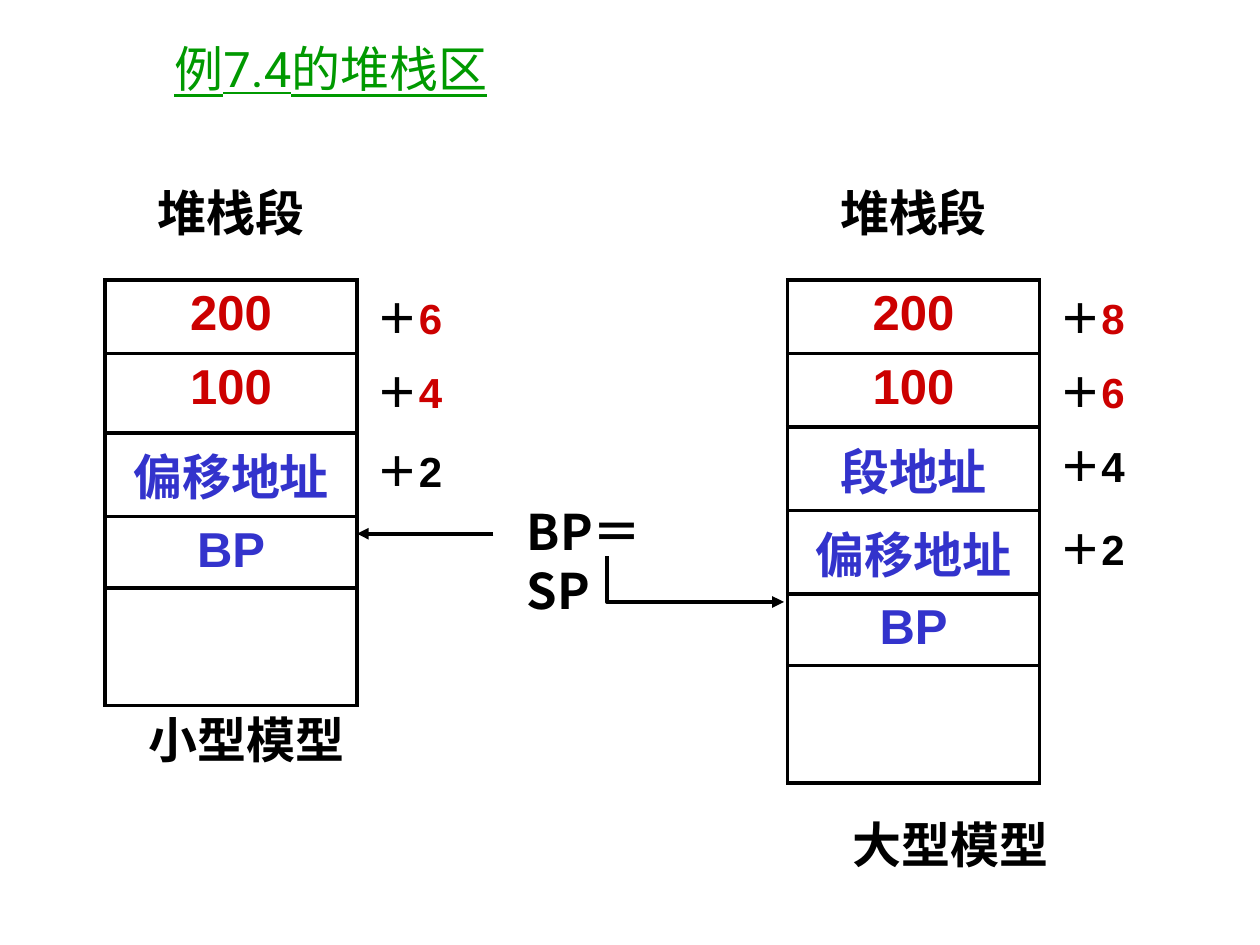
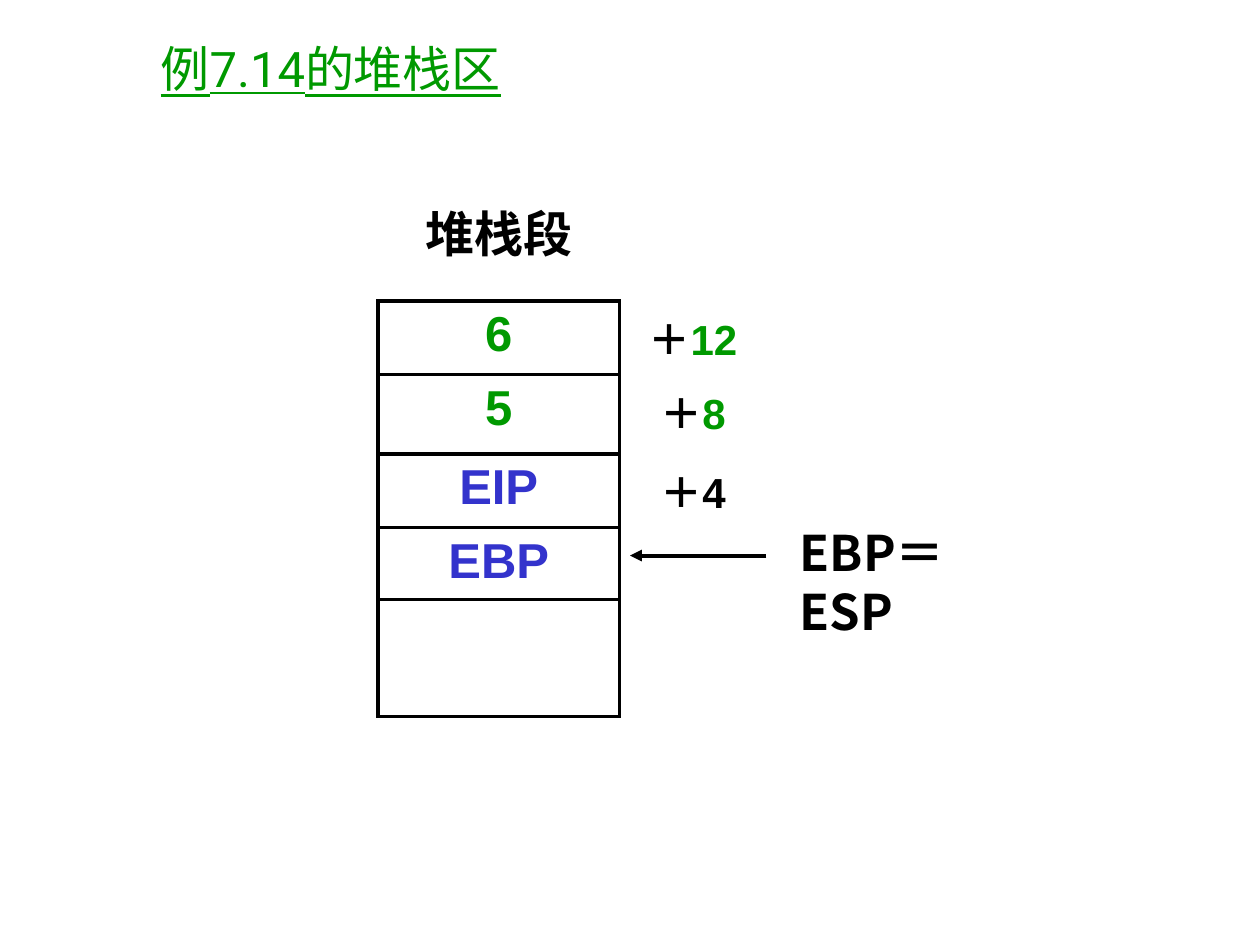
from pptx import Presentation
from pptx.util import Pt
from pptx.dml.color import RGBColor as Rgb
from pptx.enum.shapes import MSO_CONNECTOR as Link
from pptx.enum.text import PP_ALIGN as Align, MSO_ANCHOR as Anchor
from pptx.oxml import parse_xml as to_xml
from pptx.oxml.ns import nsdecls, qn
from lxml.etree import SubElement as add_sub

BLACK = Rgb(0x00, 0x00, 0x00)
RED = Rgb(0xCC, 0x00, 0x00)
GREEN = Rgb(0x00, 0x99, 0x00)
BLUE = Rgb(0x33, 0x33, 0xCC)
ARIAL, ROBOTO, NOTO = "Arial", "Roboto", "Noto Sans CJK SC"
PLAIN = "{2D5ABB26-0587-4C30-8999-92F81FD0307C}"
RULE = 2.25

HEAD = {"size": Pt(28), "bold": False, "underline": True, "name": ROBOTO}
CELL = {"size": Pt(28), "bold": True, "name": ARIAL}
SHIFT = {**CELL, "size": Pt(24)}
POINT = {**CELL, "name": NOTO}

CAP = "堆栈段"
TITLE = (18, 6, 342, 66)
TOP, ROW, TALL, REST = 64, 41, 45.4, 67

SMALL = {
    "at": (60, 96), "cols": (144, 60), "tall": 2,
    "rows": [("200", RED, "6", RED), ("100", RED, "4", RED),
             ("偏移地址", BLUE, "2", BLACK), ("BP", BLUE, "", BLACK)],
}
LARGE = {
    "at": (450, 96), "cols": (144, 60), "tall": 0,
    "rows": [("200", RED, "8", RED), ("100", RED, "6", RED),
             ("段地址", BLUE, "4", BLACK), ("偏移地址", BLUE, "2", BLACK),
             ("BP", BLUE, "", BLACK)],
}
WIDE = {
    "at": (216, 108), "cols": (138, 84), "tall": 2,
    "rows": [("6", GREEN, "12", GREEN), ("5", GREEN, "8", GREEN),
             ("EIP", BLUE, "4", BLACK), ("EBP", BLUE, "", BLACK)],
}

PAGES = [
    {"title": "例7.4的堆栈区", "stacks": [SMALL, LARGE],
     "notes": [("小型模型", (78, 402, 127, 41), CELL),
               ("大型模型", (480, 462, 127, 41), CELL),
               ("BP＝SP", (294, 283, 100, 41), POINT)],
     "arrows": [[(282, 305), (204, 305)],
                [(347, 318), (347, 344), (448, 344)]]},
    {"title": "例7.14的堆栈区", "stacks": [WIDE],
     "notes": [("EBP＝ESP", (450, 295, 127, 41), POINT)],
     "arrows": [[(438, 317.5), (360, 317.5)]]},
]


def pts(vals):
    """Turn plain numbers into lengths."""
    return [Pt(val) for val in vals]


def write(frame, parts, form, align=Align.LEFT):
    """Write coloured runs into the first paragraph."""
    para = frame.paragraphs[0]
    para.alignment = align
    for text, tint in parts:
        run = para.add_run()
        run.text = text
        run.font.color.rgb = tint
        for key, val in form.items():
            setattr(run.font, key, val)
        add_sub(run.font._element, qn("a:ea")).set("typeface", NOTO)


def edge(cell, sides):
    """Clear the fill of a cell and rule the given sides."""
    cell.fill.background()
    props = cell._tc.get_or_add_tcPr()
    for spot, side in enumerate(sides):
        props.insert(spot, to_xml(
            f'<a:ln{side} {nsdecls("a")} w="{Pt(RULE)}"><a:solidFill>'
            f'<a:srgbClr val="{BLACK}"/></a:solidFill></a:ln{side}>'))


def add_stack(slide, stack):
    """Draw one stack segment with its offsets."""
    rows = stack["rows"]
    tall = [TOP] + [ROW] * len(rows) + [REST]
    if stack["tall"]:
        tall[stack["tall"]] = TALL
    size = pts((sum(stack["cols"]), sum(tall)))
    frame = slide.shapes.add_table(len(tall), 2, *pts(stack["at"]), *size)
    table = frame.table
    table.first_row = table.horz_banding = False
    table._tbl.tblPr.find(qn("a:tableStyleId")).text = PLAIN
    for col, wide in zip(table.columns, stack["cols"]):
        col.width = Pt(wide)
    for num, high in enumerate(tall):
        table.rows[num].height = Pt(high)
        edge(table.cell(num, 0), "LRTB" if num else "B")
        edge(table.cell(num, 1), "L" if num else "")
    for num, (name, tint, shift, hue) in enumerate([(CAP, BLACK, "", BLACK)] + rows):
        write(table.cell(num, 0).text_frame, [(name, tint)], CELL, Align.CENTER)
        if shift:
            write(table.cell(num, 1).text_frame,
                  [("＋", BLACK), (shift, hue)], SHIFT, Align.CENTER)


def add_note(slide, text, box, form):
    """Add one free label."""
    frame = slide.shapes.add_textbox(*pts(box)).text_frame
    frame.word_wrap = form is POINT
    write(frame, [(text, BLACK)], form)


def add_arrow(slide, stops):
    """Draw a straight or bent arrow through the stops."""
    first, *rest = [pts(stop) for stop in stops]
    if len(rest) == 1:
        shape = slide.shapes.add_connector(Link.STRAIGHT, *first, *rest[0])
    else:
        path = slide.shapes.build_freeform(*first)
        path.add_line_segments(rest, close=False)
        shape = path.convert_to_shape()
        shape.fill.background()
    shape.line.color.rgb = BLACK
    shape.line.width = Pt(RULE)
    props = shape._element.spPr
    add_sub(props.find(qn("a:ln")), qn("a:tailEnd")).set("type", "triangle")
    add_sub(props, qn("a:effectLst"))


def add_page(deck, page):
    """Build one slide from its content."""
    slide = deck.slides.add_slide(deck.slide_layouts[5])
    title = slide.shapes.title
    keys = ("left", "top", "width", "height")
    for key, val in zip(keys, pts(TITLE)):
        setattr(title, key, val)
    title.text_frame.vertical_anchor = Anchor.MIDDLE
    write(title.text_frame, [(page["title"], GREEN)], HEAD, Align.CENTER)
    for stack in page["stacks"]:
        add_stack(slide, stack)
    for note in page["notes"]:
        add_note(slide, *note)
    for stops in page["arrows"]:
        add_arrow(slide, stops)


def main():
    """Build and save the deck."""
    deck = Presentation()
    deck.slide_width, deck.slide_height = Pt(720), Pt(540)
    for page in PAGES:
        add_page(deck, page)
    deck.save("out.pptx")


if __name__ == "__main__":
    main()
